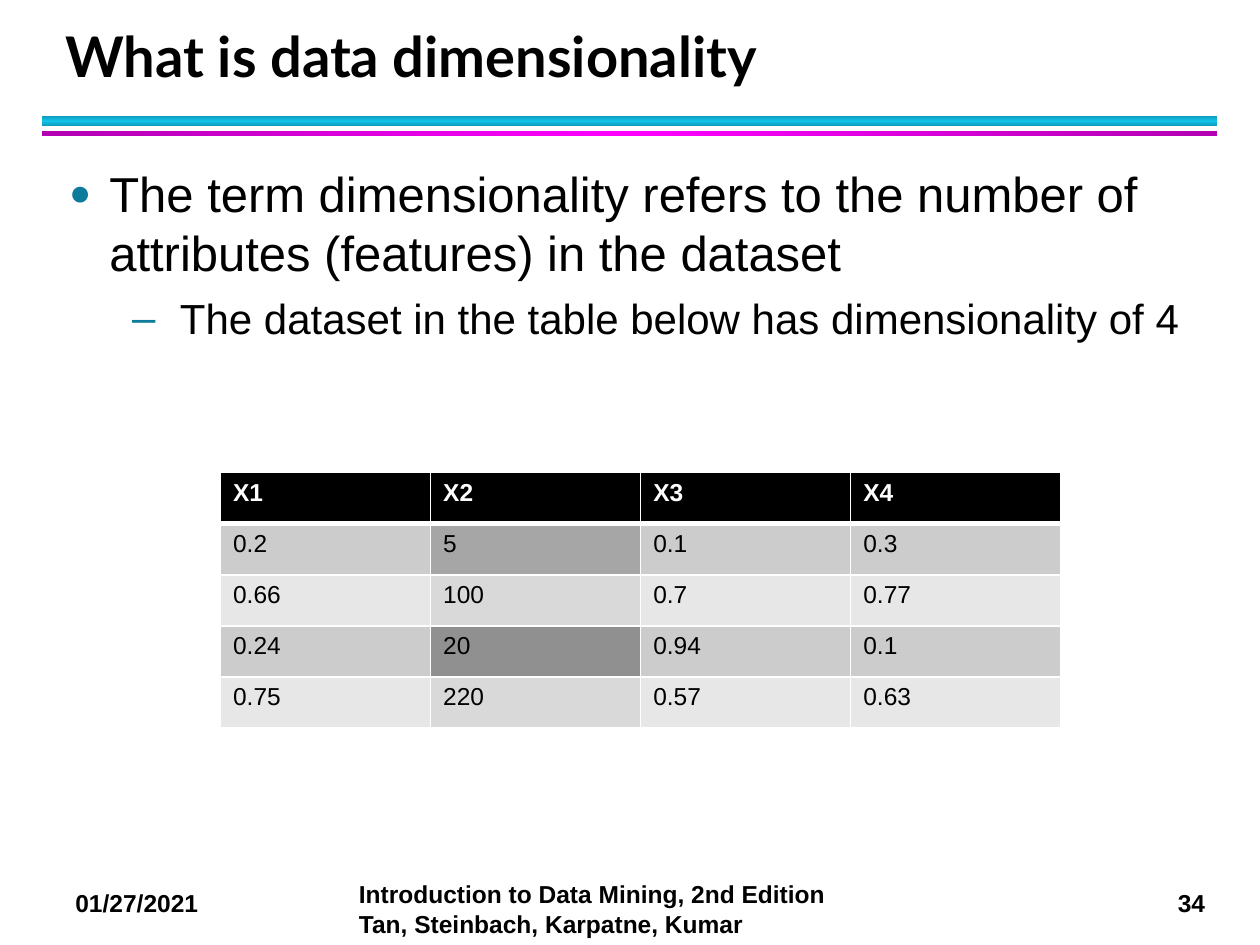
from dataclasses import dataclass

from lxml.etree import SubElement
from pptx import Presentation
from pptx.dml.color import RGBColor
from pptx.enum.shapes import MSO_SHAPE
from pptx.enum.text import MSO_ANCHOR
from pptx.oxml.ns import qn
from pptx.util import Inches, Pt

HUES = {
    "black": "000000", "white": "FFFFFF", "mark": "0C7B9C",
    "cyan": "12C2E9", "teal": "0E9BBA", "pink": "FF00FF", "plum": "B200B2",
    "odd": "CCCCCC", "even": "E7E7E7",
    "mid": "A6A6A6", "dark": "909090", "pale": "D9D9D9",
}


@dataclass
class Band:
    top: float
    height: float
    edge: str
    core: str
    angle: int


@dataclass
class Label:
    text: str
    left: float
    top: float
    width: float
    height: float
    size: int = 14
    face: str = "Arial"
    wrap: bool = True


@dataclass
class Point:
    text: str
    size: int
    left: float
    hang: float
    sign: str
    scale: int
    before: float


BANDS = [
    Band(0.92, 0.08, "teal", "cyan", 90),
    Band(1.04, 0.04, "plum", "pink", 0),
]
TITLE = Label("What is data dimensionality", 0.42, 0.17, 9.06, 0.58, 32, "Lato")
NOTES = [
    Label("01/27/2021", 0.5, 7, 1.33, 0.34),
    Label("34", 9.25, 7, 0.44, 0.34, wrap=False),
    Label("Introduction to Data Mining, 2nd Edition Tan, Steinbach, Karpatne, Kumar",
          2.75, 6.93, 4.08, 0.57),
]
POINTS = [
    Point("The term dimensionality refers to the number of attributes "
          "(features) in the dataset", 28, 0.32, 0.32, "●", 75, 0),
    Point("The dataset in the table below has dimensionality of 4",
          24, 0.88, 0.38, "–", 100, 2.4),
]
ROWS = [
    ["X1", "X2", "X3", "X4"],
    ["0.2", "5", "0.1", "0.3"],
    ["0.66", "100", "0.7", "0.77"],
    ["0.24", "20", "0.94", "0.1"],
    ["0.75", "220", "0.57", "0.63"],
]
# Fill of each row, and the shade of its X2 cell
FILLS = [("black", "black"), ("odd", "mid"), ("even", "pale"),
         ("odd", "dark"), ("even", "pale")]


def rgb(hue: str) -> RGBColor:
    return RGBColor.from_string(HUES[hue])


def style(font, size: int, face: str = "Arial", hue: str = "black",
          bold: bool = False) -> None:
    font.size, font.name, font.bold = Pt(size), face, bold
    font.color.rgb = rgb(hue)


def add_hue(node, hue: str) -> None:
    SubElement(node, qn("a:srgbClr"), val=HUES[hue])


def draw_band(slide, band: Band) -> None:
    bar = slide.shapes.add_shape(MSO_SHAPE.RECTANGLE, Inches(0.33),
                                 Inches(band.top), Inches(9.33), Inches(band.height))
    bar.shadow.inherit = False
    bar.line.fill.background()
    bar.fill.gradient()
    bar.fill.gradient_angle = band.angle
    stops = bar.element.spPr.find(".//" + qn("a:gsLst"))
    for stop in list(stops):
        stops.remove(stop)
    for place, hue in ((0, band.edge), (50000, band.core), (100000, band.edge)):
        add_hue(SubElement(stops, qn("a:gs"), pos=str(place)), hue)


def draw_label(slide, label: Label):
    box = slide.shapes.add_textbox(Inches(label.left), Inches(label.top),
                                   Inches(label.width), Inches(label.height))
    frame = box.text_frame
    frame.word_wrap = label.wrap
    frame.text = label.text
    style(frame.paragraphs[0].runs[0].font, label.size, label.face, bold=True)
    return frame


def draw_points(slide, points: list[Point]) -> None:
    frame = slide.shapes.add_textbox(Inches(0.45), Inches(1.25),
                                     Inches(9.1), Inches(5.67)).text_frame
    frame.word_wrap = True
    for i, point in enumerate(points):
        para = frame.add_paragraph() if i else frame.paragraphs[0]
        para.text = point.text
        para.level = i
        props = para._p.get_or_add_pPr()
        props.set("marL", str(Inches(point.left)))
        props.set("indent", str(-Inches(point.hang)))
        add_hue(SubElement(props, qn("a:buClr")), "mark")
        SubElement(props, qn("a:buSzPct"), val=str(point.scale * 1000))
        SubElement(props, qn("a:buFont"), typeface="Arial")
        SubElement(props, qn("a:buChar"), char=point.sign)
        para.space_before, para.space_after = Pt(point.before), Pt(4)
        style(para.runs[0].font, point.size)


def draw_edges(cell, base: int) -> None:
    props = cell._tc.get_or_add_tcPr()
    sides = {"lnL": 1, "lnR": 1, "lnT": 1, "lnB": base}
    for i, (side, width) in enumerate(sides.items()):
        line = SubElement(props, qn("a:" + side), w=str(Pt(width)))
        add_hue(SubElement(line, qn("a:solidFill")), "white")
        props.insert(i, line)


def draw_table(slide) -> None:
    table = slide.shapes.add_table(len(ROWS), len(ROWS[0]), Inches(1.75),
                                   Inches(3.75), Inches(6.67), Inches(2.03)).table
    for r, (row, (fill, shade)) in enumerate(zip(ROWS, FILLS)):
        head = r == 0
        for c, text in enumerate(row):
            cell = table.cell(r, c)
            cell.text_frame.text = text
            style(cell.text_frame.paragraphs[0].runs[0].font, 14,
                  hue="white" if head else "black", bold=head)
            cell.fill.solid()
            cell.fill.fore_color.rgb = rgb(shade if c == 1 else fill)
            draw_edges(cell, 3 if head else 1)
            if r == 1:  # the heavy rule is shared with the header
                cell._tc.tcPr.find(qn("a:lnT")).set("w", str(Pt(3)))


def main() -> None:
    deck = Presentation()
    deck.slide_width, deck.slide_height = Inches(10), Inches(7.5)
    slide = deck.slides.add_slide(deck.slide_layouts[6])

    # Rules under the title
    for band in BANDS:
        draw_band(slide, band)

    # Footer
    for note in NOTES:
        draw_label(slide, note)

    # Title
    title = draw_label(slide, TITLE)
    title.vertical_anchor = MSO_ANCHOR.BOTTOM
    title.paragraphs[0].line_spacing = Pt(36)

    # Body and data
    draw_points(slide, POINTS)
    draw_table(slide)
    deck.save("out.pptx")


if __name__ == "__main__":
    main()
